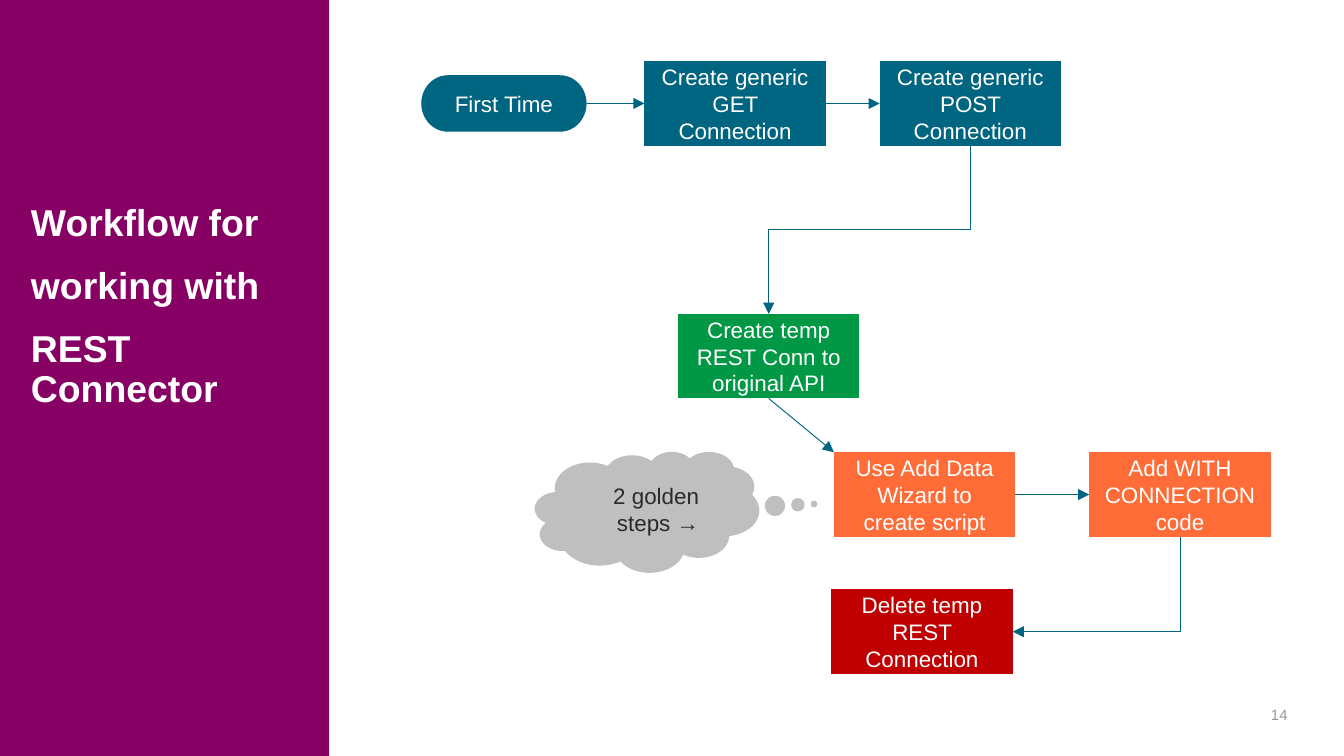
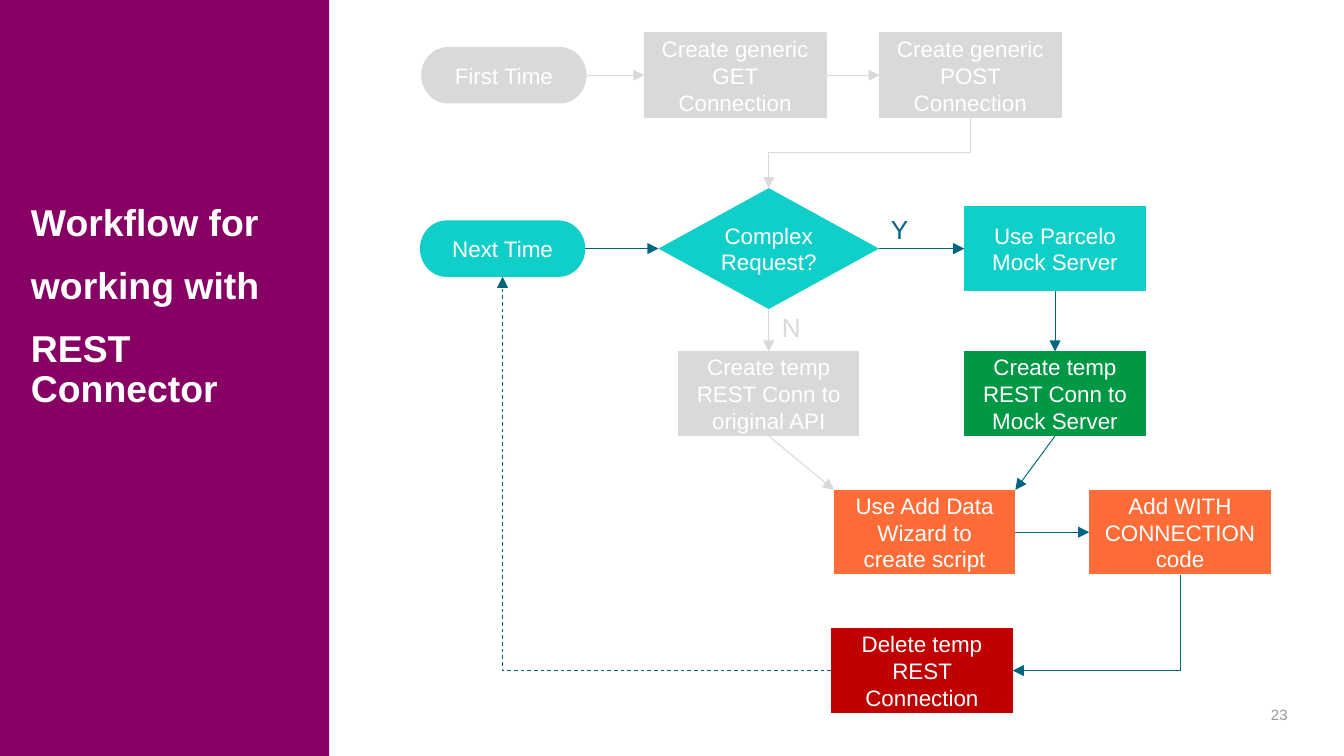
import pptx
import pptx.dml.color
import pptx.enum.dml
import pptx.enum.shapes
import pptx.enum.text
import pptx.oxml.ns
import pptx.util
from lxml import etree

Inches, Pt = pptx.util.Inches, pptx.util.Pt
SHAPE = pptx.enum.shapes.MSO_SHAPE
LINK = pptx.enum.shapes.MSO_CONNECTOR
ALIGN = pptx.enum.text.PP_ALIGN
MIDDLE = pptx.enum.text.MSO_ANCHOR.MIDDLE
FIT = pptx.enum.text.MSO_AUTO_SIZE
DASH = pptx.enum.dml.MSO_LINE.DASH
qn = pptx.oxml.ns.qn

WIDE = 10
HIGH = WIDE * 9 / 16

THEME = {
    "font": "Arial",
    "color": {
        "plum": "870064", "blue": "006580", "green": "009845",
        "orange": "FF6C37", "red": "C00000", "aqua": "10CFC9",
        "faded": "D9D9D9", "cloud": "BFBFBF", "white": "FFFFFF",
        "ink": "2A2B2D", "page": "97999D",
    },
    "size": {"title": 20, "label": 14, "step": 12, "page": 8},
    "line": {"link": 0.5, "edge": 1},
}

TITLE = ["Workflow for", "working with", "REST Connector"]

# kind: preset shape, width, height, text inset
KINDS = {
    "end": (SHAPE.FLOWCHART_TERMINATOR, 1.23, 0.42, None),
    "task": (SHAPE.FLOWCHART_PROCESS, 1.35, 0.63, None),
    "choice": (SHAPE.FLOWCHART_DECISION, 1.64, 0.9, 0),
}

# step: kind, centre x, text
STEPS = {
    "first": ("end", 3.75, "First Time"),
    "get": ("task", 5.47, "Create generic GET Connection"),
    "post": ("task", 7.22, "Create generic POST Connection"),
    "next": ("end", 3.74, "Next Time"),
    "ask": ("choice", 5.72, "Complex Request?"),
    "mock": ("task", 7.85, "Use Parcelo Mock Server"),
    "temp": ("task", 5.72, "Create temp REST Conn to\noriginal API"),
    "fake": ("task", 7.85, "Create temp REST Conn to Mock Server"),
    "script": ("task", 6.88, "Use Add Data Wizard to create script"),
    "code": ("task", 8.78, "Add WITH CONNECTION code"),
    "drop": ("task", 6.86, "Delete temp REST Connection"),
}

# links: from step and side, to step and side, route, colour
CLOSING = [
    ("script right", "code left", "line", "blue"),
    ("code bottom", "drop right", "corner down", "blue"),
]

SLIDES = [
    {
        "page": "14",
        # step, centre y, fill, outline
        "steps": [
            ("first", 0.77, "blue", None),
            ("get", 0.77, "blue", None),
            ("post", 0.77, "blue", None),
            ("temp", 2.65, "green", None),
            ("script", 3.68, "orange", None),
            ("code", 3.68, "orange", None),
            ("drop", 4.7, "red", None),
        ],
        "links": [
            ("first right", "get left", "line", "blue"),
            ("get right", "post left", "line", "blue"),
            ("post bottom", "temp top", "step down", "blue"),
            ("temp bottom", "script topleft", "line", "blue"),
        ] + CLOSING,
        "labels": [],
        "clouds": [("2 golden steps →", 3.98, 3.36, 1.67, 0.9)],
    },
    {
        "page": "23",
        "steps": [
            ("first", 0.56, "faded", None),
            ("get", 0.56, "faded", "faded"),
            ("post", 0.56, "faded", "faded"),
            ("next", 1.85, "aqua", None),
            ("ask", 1.85, "aqua", None),
            ("mock", 1.85, "aqua", None),
            ("temp", 2.93, "faded", None),
            ("fake", 2.93, "green", None),
            ("script", 3.96, "orange", None),
            ("code", 3.96, "orange", None),
            ("drop", 4.99, "red", None),
        ],
        "links": [
            ("first right", "get left", "line", "faded"),
            ("get right", "post left", "line", "faded"),
            ("post bottom", "ask top", "step down", "faded"),
            ("next right", "ask left", "step", "blue"),
            ("ask right", "mock left", "line", "blue"),
            ("ask bottom", "temp top", "line", "faded"),
            ("mock bottom", "fake top", "step down", "blue"),
            ("temp bottom", "script topleft", "line", "faded"),
            ("fake bottom", "script topright", "line", "blue"),
            ("drop left", "next bottom", "corner dash", "blue"),
        ] + CLOSING,
        "labels": [("Y", 6.53, 1.54, "blue"), ("N", 5.72, 2.27, "faded")],
        "clouds": [],
    },
]

# side: offset from the centre in half widths and half heights
SIDES = {
    "left": (-1, 0), "right": (1, 0), "top": (0, -1), "bottom": (0, 1),
    "topleft": (-1, -1), "topright": (1, -1),
}


def tint(name):
    return pptx.dml.color.RGBColor.from_string(THEME["color"][name])


def put(item, **vals):
    for key, val in vals.items():
        setattr(item, key, val)


def write(frame, lines, size, color, bold=None, **form):
    """Fill a text frame; form holds paragraph settings."""
    for num, line in enumerate(lines):
        par = frame.add_paragraph() if num else frame.paragraphs[0]
        par.text = line
        put(par, **form)
        for run in par.runs:
            put(run.font, name=THEME["font"], bold=bold,
                size=Pt(THEME["size"][size]))
            run.font.color.rgb = tint(color)


def inset(frame, side, end):
    put(frame, margin_left=Inches(side), margin_right=Inches(side),
        margin_top=Inches(end), margin_bottom=Inches(end))


def block(slide, preset, box, fill, edge=None):
    shape = slide.shapes.add_shape(preset, *map(Inches, box))
    shape.shadow.inherit = False
    shape.fill.solid()
    shape.fill.fore_color.rgb = tint(fill)
    if edge:
        shape.line.color.rgb = tint(edge)
        shape.line.width = Pt(THEME["line"]["edge"])
    else:
        shape.line.fill.background()
    put(shape.text_frame, word_wrap=True, vertical_anchor=MIDDLE)
    return shape


def note(slide, text, box, size, color, **form):
    frame = slide.shapes.add_textbox(*map(Inches, box)).text_frame
    frame.word_wrap = True
    write(frame, [text], size, color, **form)
    return frame


def base(slide, page):
    """Draw the side band, title and page number."""
    block(slide, SHAPE.RECTANGLE, (0, 0, 2.45, HIGH), "plum")
    body = slide.placeholders[1]
    put(body, left=Inches(0.1), top=0,
        width=Inches(2.28), height=Inches(4.58))
    tree = slide.shapes._spTree
    tree.remove(slide.shapes.title._element)
    tree.append(body._element)
    frame = body.text_frame
    inset(frame, 0, 0.05)
    put(frame, word_wrap=True, vertical_anchor=MIDDLE, auto_size=FIT.NONE)
    write(frame, TITLE, "title", "white", bold=True, alignment=ALIGN.LEFT,
          line_spacing=0.9, space_before=Pt(0), space_after=Pt(12))
    for par in frame.paragraphs:
        prop = par._p.get_or_add_pPr()
        prop.set("marL", str(Inches(0.13)))
        prop.set("indent", "0")
        etree.SubElement(prop, qn("a:buNone"))
    inset(note(slide, page, (9.39, 5.2, 0.19, 0.26), "page", "page",
               alignment=ALIGN.RIGHT), 0, 0.05)


def step(slide, name, mid, fill, edge):
    kind, x, text = STEPS[name]
    preset, wide, high, pad = KINDS[kind]
    box = (x - wide / 2, mid - high / 2, wide, high)
    frame = block(slide, preset, box, fill, edge).text_frame
    if pad is not None:
        inset(frame, pad, pad)
    write(frame, [text], "step", "white", alignment=ALIGN.CENTER)


def spot(place, rows):
    """Give the point for a step and side such as 'get left'."""
    name, side = place.split()
    kind, x, _ = STEPS[name]
    _, wide, high, _ = KINDS[kind]
    dx, dy = SIDES[side]
    return x + dx * wide / 2, rows[name] + dy * high / 2


def link(slide, start, stop, route, color):
    (x1, y1), (x2, y2) = start, stop
    down = "down" in route
    if down:  # lay the elbow flat about its centre, then turn it by 90 degrees
        mx, my = (x1 + x2) / 2, (y1 + y2) / 2
        dx, dy = (y2 - y1) / 2, (x1 - x2) / 2
        x1, y1, x2, y2 = mx - dx, my - dy, mx + dx, my + dy
    kind = LINK.STRAIGHT if route == "line" else LINK.ELBOW
    wire = slide.shapes.add_connector(kind, *map(Inches, (x1, y1, x2, y2)))
    wire.line.color.rgb = tint(color)
    wire.line.width = Pt(THEME["line"]["link"])
    if "dash" in route:
        wire.line.dash_style = DASH
    prop = wire._element.spPr
    if down:
        prop.find(qn("a:xfrm")).set("rot", "5400000")
    if "corner" in route:
        prop.find(qn("a:prstGeom")).set("prst", "bentConnector2")
    etree.SubElement(prop.find(qn("a:ln")), qn("a:tailEnd"), type="triangle")
    etree.SubElement(prop, qn("a:effectLst"))


def cloud(slide, text, *box):
    shape = block(slide, SHAPE.CLOUD_CALLOUT, box, "cloud")
    shape.adjustments[0], shape.adjustments[1] = 0.744, -0.066
    write(shape.text_frame, [text], "step", "ink", alignment=ALIGN.RIGHT)


def main():
    deck = pptx.Presentation()
    put(deck, slide_width=Inches(WIDE), slide_height=Inches(HIGH))
    for data in SLIDES:
        slide = deck.slides.add_slide(deck.slide_layouts[1])
        base(slide, data["page"])
        for item in data["steps"]:
            step(slide, *item)
        rows = {name: mid for name, mid, *_ in data["steps"]}
        for start, stop, route, color in data["links"]:
            link(slide, spot(start, rows), spot(stop, rows), route, color)
        for text, x, y, color in data["labels"]:
            frame = note(slide, text, (x, y, 0.34, 0.34), "label", color)
            frame.auto_size = FIT.SHAPE_TO_FIT_TEXT
        for item in data["clouds"]:
            cloud(slide, *item)
    deck.save("out.pptx")


if __name__ == "__main__":
    main()
